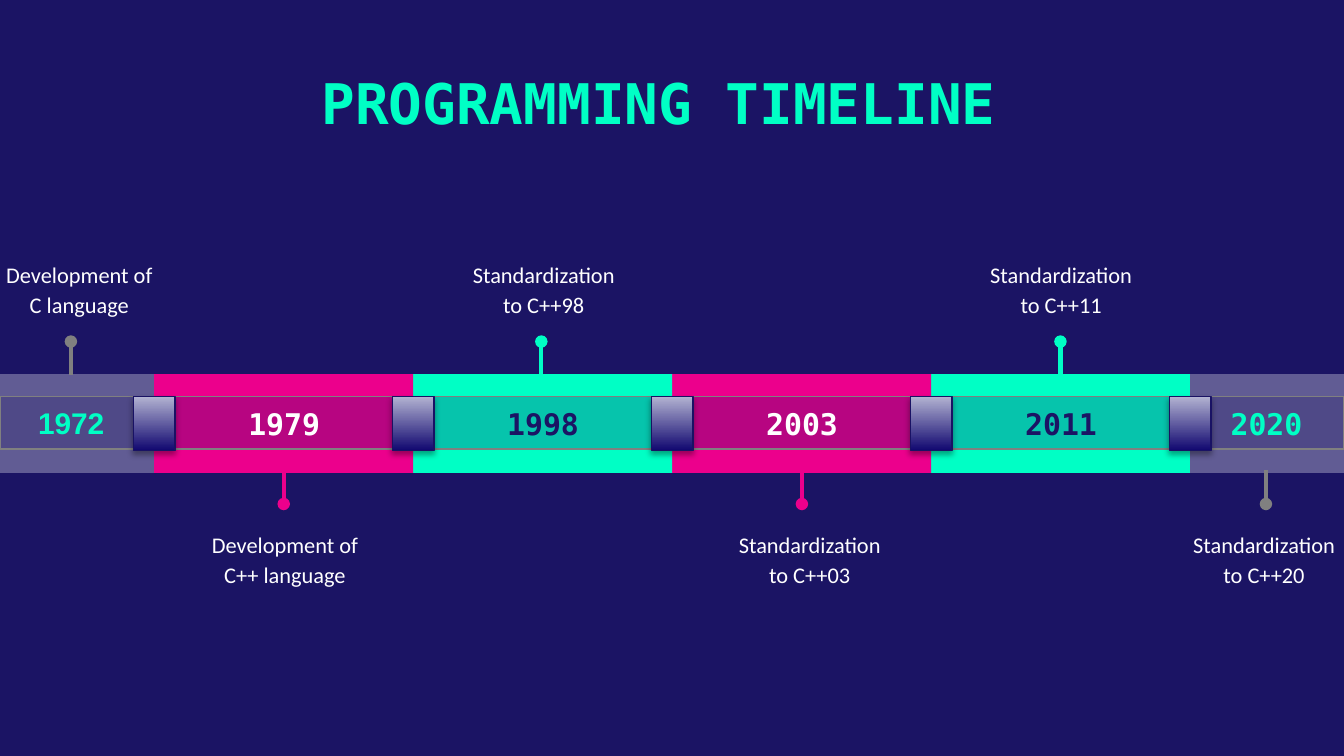
from lxml.etree import SubElement
from pptx import Presentation
from pptx.dml.color import RGBColor
from pptx.enum.shapes import MSO_CONNECTOR, MSO_SHAPE
from pptx.enum.text import MSO_ANCHOR, PP_ALIGN
from pptx.oxml.ns import qn
from pptx.util import Pt

COLORS = {
    "navy": "1B1464", "mint": "00FFC5", "pink": "EC008C", "white": "FFFFFF",
    "gray": "808080", "pin_dark": "110870", "pin_light": "B2B2D1",
    "pin_line": "191264", "black": "000000",
}
MONO = "DejaVu Sans Mono"
BAND_TOP, BAND_H = 200.4, 53
STRIP_TOP, STRIP_H = 212.6, 28
FIRST_SEGMENT, STEP = 82.6, 138.75
SEGMENTS = [("1979", "pink", "white"), ("1998", "mint", "navy"),
            ("2003", "pink", "white"), ("2011", "mint", "navy")]
EVENTS = [
    ("Development of C language", -6.5, 98, 38, "gray", True),
    ("Development of C++ language", 103.7, 98, 152, "pink", False),
    ("Standardization to C++98", 239.8, 103, 290, "mint", True),
    ("Standardization to C++03", 382.3, 103, 429.6, "pink", False),
    ("Standardization to C++11", 517, 103, 568.1, "mint", True),
    ("Standardization to C++20", 625.7, 103, 678.2, "gray", False),
]


def rgb(name):
    return RGBColor.from_string(COLORS[name])


def add_run(p, text, size, font, color, bold=False):
    r = p.add_run()
    r.text = text
    r.font.size = Pt(size)
    r.font.name = font
    r.font.bold = bold
    r.font.color.rgb = rgb(color)


def set_margins(tf, left, top, right=7.2):
    tf.margin_left, tf.margin_right = Pt(left), Pt(right)
    tf.margin_top = tf.margin_bottom = Pt(top)


def add_text(s, text, x, y, w, h, size, font, color, bold=True, inset=7.2, spacing=1.0):
    tf = s.shapes.add_textbox(Pt(x), Pt(y), Pt(w), Pt(h)).text_frame
    tf.word_wrap = True
    set_margins(tf, 7.2, inset)
    p = tf.paragraphs[0]
    p.alignment = PP_ALIGN.CENTER
    p.line_spacing = spacing
    add_run(p, text, size, font, color, bold)


def add_bar(s, y, h, color, opacity):
    sp = s.shapes.add_shape(MSO_SHAPE.RECTANGLE, 0, Pt(y), Pt(720), Pt(h))
    sp.shadow.inherit = False
    sp.fill.solid()
    sp.fill.fore_color.rgb = rgb(color)
    clr = sp.fill._xPr.find(qn("a:solidFill"))[0]
    SubElement(clr, qn("a:alpha")).set("val", str(opacity * 1000))
    sp.line.fill.background()
    return sp


def add_segment(s, x, color, tab):
    right, bottom = x + STEP, BAND_TOP + BAND_H
    points = [(x, bottom), (right, bottom)]
    if tab:
        low = STRIP_TOP + STRIP_H
        points += [(right, low), (right + tab, low),
                   (right + tab, STRIP_TOP), (right, STRIP_TOP)]
    points.append((right, BAND_TOP))
    fb = s.shapes.build_freeform(Pt(x), Pt(BAND_TOP))
    fb.add_line_segments([(Pt(a), Pt(b)) for a, b in points])
    sp = fb.convert_to_shape()
    sp.shadow.inherit = False
    sp.fill.solid()
    sp.fill.fore_color.rgb = rgb(color)
    sp.line.fill.background()


def add_marker(s, x, y_dot, y_band, color):
    cn = s.shapes.add_connector(MSO_CONNECTOR.STRAIGHT, Pt(x), Pt(y_dot), Pt(x), Pt(y_band))
    cn.line.color.rgb = rgb(color)
    cn.line.width = Pt(2.25)
    SubElement(cn.line._get_or_add_ln(), qn("a:headEnd")).set("type", "oval")
    SubElement(cn._element.spPr, qn("a:effectLst"))


def add_event(s, text, x, w, marker_x, color, above):
    add_text(s, text, x, 137.5 if above else 282.2, w, 76.3, 12, "Calibri",
             "white", bold=False, inset=0, spacing=1.15)
    y_dot, y_band = (183, 201) if above else (270, 252)
    add_marker(s, marker_x, y_dot, y_band, color)


def add_pin(s, center):
    sp = s.shapes.add_shape(MSO_SHAPE.RECTANGLE, Pt(center - 11.15), Pt(STRIP_TOP),
                            Pt(22.3), Pt(28.8))
    sp.fill.gradient()
    sp.fill.gradient_angle = 90
    for stop, color in zip(sp.fill.gradient_stops, ("pin_dark", "pin_light")):
        stop.color.rgb = rgb(color)
    sp.line.color.rgb = rgb("pin_line")
    sp.line.width = Pt(0.75)
    sp.shadow.inherit = False
    effects = sp._element.spPr.find(qn("a:effectLst"))
    shadow = SubElement(effects, qn("a:outerShdw"), blurRad=str(Pt(3.1)),
                        dist=str(Pt(1.8)), dir="5400000", rotWithShape="0")
    clr = SubElement(shadow, qn("a:srgbClr"), val=COLORS["black"])
    SubElement(clr, qn("a:alpha"), val="35000")


def add_strip(s):
    sp = add_bar(s, STRIP_TOP, STRIP_H, "navy", 25)
    sp.line.color.rgb = rgb("gray")
    sp.line.width = Pt(0.75)
    tf = sp.text_frame
    set_margins(tf, 20.4, 7.2)
    tf.vertical_anchor = MSO_ANCHOR.MIDDLE
    p = tf.paragraphs[0]
    p.alignment = PP_ALIGN.LEFT
    add_run(p, "1972", 16, "Arial", "mint", True)


def main():
    prs = Presentation()
    prs.slide_width, prs.slide_height = Pt(720), Pt(405)
    s = prs.slides.add_slide(prs.slide_layouts[6])
    s.background.fill.solid()
    s.background.fill.fore_color.rgb = rgb("navy")

    add_bar(s, BAND_TOP, BAND_H, "white", 31)
    last = len(SEGMENTS) - 1
    for i, (year, color, ink) in reversed(list(enumerate(SEGMENTS))):
        add_segment(s, FIRST_SEGMENT + i * STEP, color, 0 if i == last else 8.6)
    add_strip(s)
    add_text(s, "PROGRAMMING TIMELINE", 93.6, 29.5, 518.4, 52.6, 30, MONO, "mint")
    for i, (year, color, ink) in enumerate(SEGMENTS):
        add_text(s, year, 90.7 + i * STEP, 210.2, 123, 28, 16, MONO, ink)
    add_text(s, "2020", 617, 210.2, 123, 28, 16, MONO, "mint")
    for event in EVENTS:
        add_event(s, *event)
    for i in range(len(SEGMENTS) + 1):
        add_pin(s, FIRST_SEGMENT + i * STEP)
    prs.save("out.pptx")


main()
